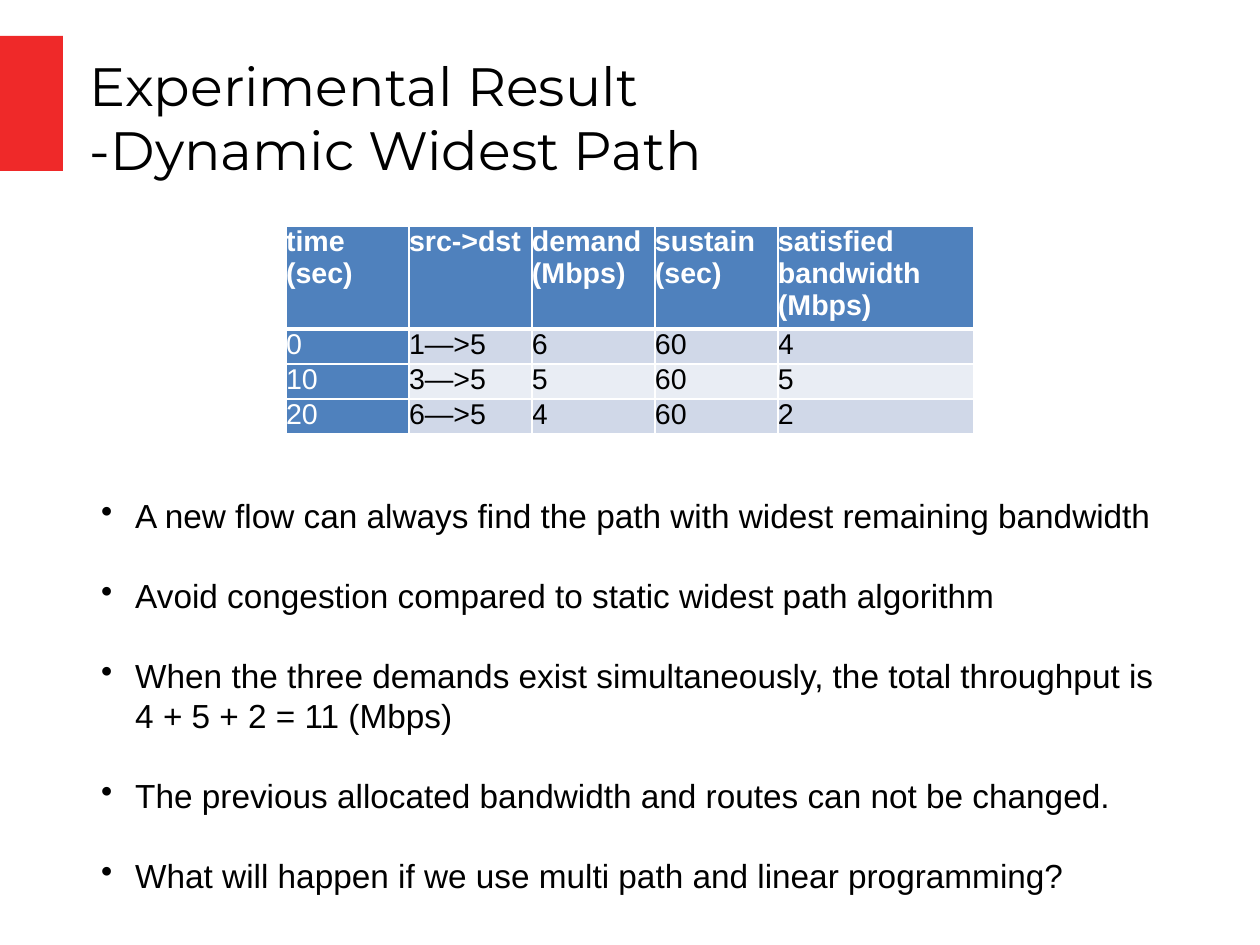
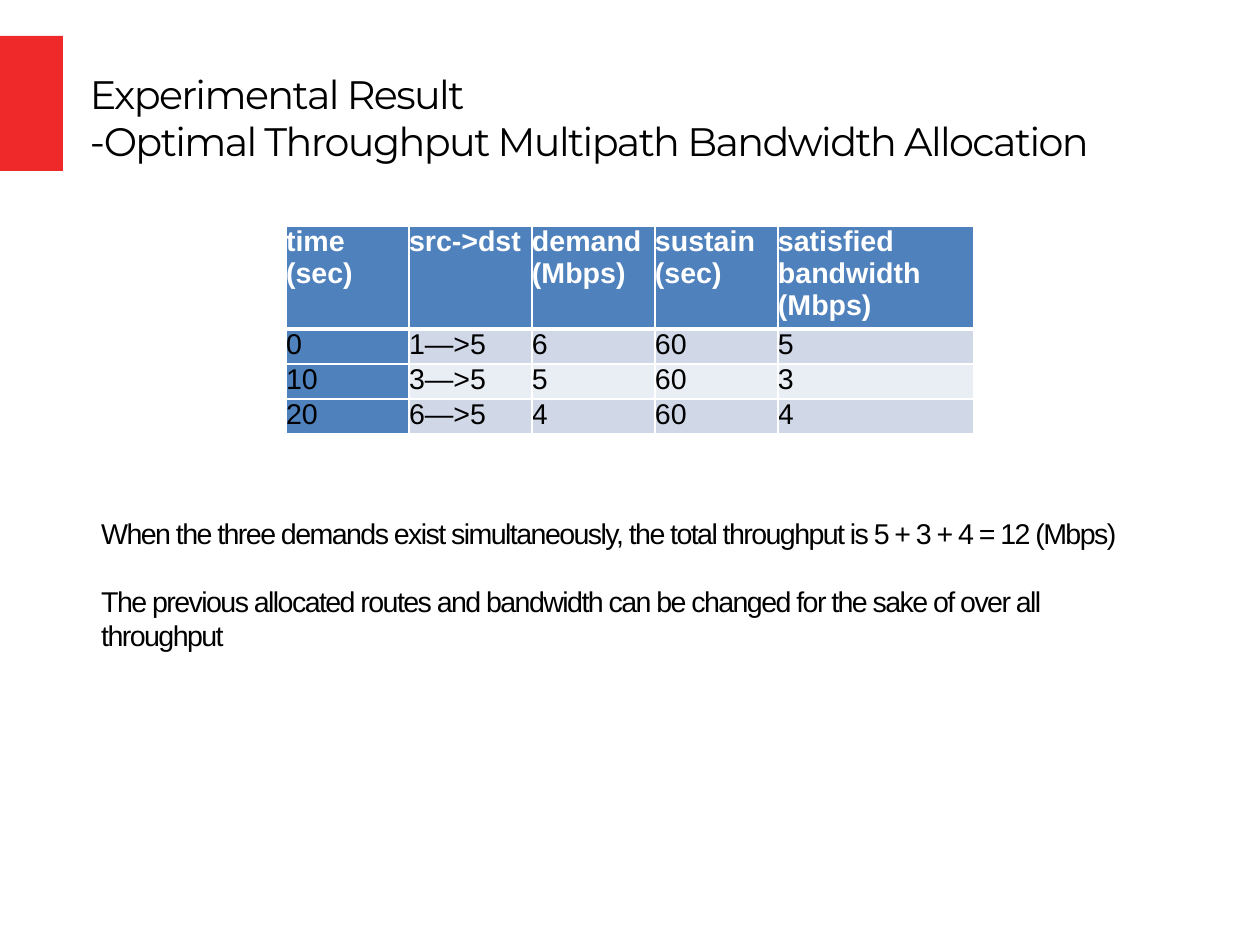
from lxml import etree
from pptx import Presentation
from pptx import util as u
from pptx.dml.color import RGBColor
from pptx.enum import shapes, text
from pptx.oxml import ns

PX = 8000
RED = RGBColor(0xEF, 0x29, 0x29)
BLACK = RGBColor(0x00, 0x00, 0x00)
WHITE = RGBColor(0xFF, 0xFF, 0xFF)
BLUE = RGBColor(0x4F, 0x81, 0xBD)
BANDS = (RGBColor(0xD0, 0xD8, 0xE8), RGBColor(0xE9, 0xED, 0xF4))
TITLE_FONT = "Montserrat"
BODY_FONT = "Arial"
INDENT = 34
COLUMNS = (123, 123, 123, 123, 196)
HEADER_HEIGHT, ROW_HEIGHT = 103, 35
HEADER = ("time\n(sec)", "src->dst", "demand\n(Mbps)", "sustain\n(sec)",
          "satisfied bandwidth\n(Mbps)")
FLOWS = (("0", "1—>5", "6", "60"),
         ("10", "3—>5", "5", "60"),
         ("20", "6—>5", "4", "60"))


def px(*lengths):
    return [u.Emu(n * PX) for n in lengths]


def style(p, font, size, color=BLACK, bold=False):
    p.font.name, p.font.size, p.font.bold = font, u.Pt(size), bold
    p.font.color.rgb = color


def tighten(p, points):
    for r in p.runs:
        r.font._element.set("spc", str(round(points * 100)))


def add_bullet(p):
    pPr = p._p.get_or_add_pPr()
    pPr.set("marL", str(INDENT * PX))
    pPr.set("indent", str(-INDENT * PX))
    bullet = etree.Element(ns.qn("a:buChar"), char="•")
    pPr.insert_element_before(bullet, "a:tabLst", "a:defRPr", "a:extLst")


def add_text(slide, box, lines, font, size, spacing=0):
    tf = slide.shapes.add_textbox(*px(*box)).text_frame
    tf.word_wrap = True
    tf.text = "\n".join(lines)
    for p in tf.paragraphs:
        style(p, font, size)
        tighten(p, spacing)
    return tf


def add_title(slide, lines, size, spacing):
    sp = slide.shapes.add_shape(shapes.MSO_SHAPE.RECTANGLE, *px(0, 36, 63, 135))
    sp.shadow.inherit = False
    sp.fill.solid()
    sp.fill.fore_color.rgb = RED
    sp.line.fill.background()
    tf = add_text(slide, (90, 38, 1108, 158), lines, TITLE_FONT, size, spacing)
    tf.margin_left = tf.margin_top = tf.margin_right = tf.margin_bottom = 0
    tf.vertical_anchor = text.MSO_ANCHOR.MIDDLE


def add_body(slide, top, height, lines, size, pitch, bullets=False, spacing=0):
    tf = add_text(slide, (90, top, 1081, height), lines, BODY_FONT, size, spacing)
    for p in tf.paragraphs:
        p.line_spacing, p.space_after = px(pitch, pitch)
        if bullets:
            add_bullet(p)


def set_borders(cell, widths):
    tcPr = cell._tc.get_or_add_tcPr()
    for i, (side, width) in enumerate(zip("LRTB", widths)):
        ln = etree.Element(ns.qn(f"a:ln{side}"), w=str(u.Pt(width)))
        fill = etree.SubElement(ln, ns.qn("a:solidFill"))
        etree.SubElement(fill, ns.qn("a:srgbClr"), val=str(WHITE))
        tcPr.insert(i, ln)


def add_flow_table(slide, bandwidths, time_color):
    rows = [HEADER] + [flow + (b,) for flow, b in zip(FLOWS, bandwidths)]
    heights = [HEADER_HEIGHT] + [ROW_HEIGHT] * len(FLOWS)
    table = slide.shapes.add_table(
        len(rows), len(COLUMNS), *px(286, 226, sum(COLUMNS), sum(heights))).table
    table.first_row = table.horz_banding = False
    for column, width in zip(table.columns, px(*COLUMNS)):
        column.width = width
    for i, (row, height, values) in enumerate(zip(table.rows, px(*heights), rows)):
        row.height = height
        for j, (cell, value) in enumerate(zip(row.cells, values)):
            header = i == 0
            cell.margin_left = cell.margin_right = 0
            cell.margin_top = cell.margin_bottom = 0
            cell.text = value
            color = WHITE if header else time_color if j == 0 else BLACK
            for p in cell.text_frame.paragraphs:
                style(p, BODY_FONT, 18, color, header)
            cell.fill.solid()
            cell.fill.fore_color.rgb = BLUE if header or j == 0 else BANDS[(i - 1) % 2]
            set_borders(cell, (1, 1, 3 if i == 1 else 1, 3 if header else 1))


def add_result_slide(prs, subtitle, title_size, bandwidths, time_color, spacing=0):
    slide = prs.slides.add_slide(prs.slide_layouts[6])
    add_title(slide, ("Experimental Result", subtitle), title_size, spacing)
    add_flow_table(slide, bandwidths, time_color)
    return slide


def main():
    prs = Presentation()
    prs.slide_width, prs.slide_height = px(1260, 945)

    slide = add_result_slide(prs, "-Dynamic Widest Path", 34, "452", WHITE)
    add_body(slide, 490, 412, (
        "A new flow can always find the path with widest remaining bandwidth",
        "Avoid congestion compared to static widest path algorithm",
        "When the three demands exist simultaneously, the total throughput is "
        "4 + 5 + 2 = 11 (Mbps)",
        "The previous allocated bandwidth and routes can not be changed.",
        "What will happen if we use multi path and linear programming?",
    ), 21, 40, bullets=True)

    slide = add_result_slide(
        prs, "-Optimal Throughput Multipath Bandwidth Allocation", 25, "534", BLACK, -1)
    add_body(slide, 511, 150, (
        "When the three demands exist simultaneously, the total throughput is "
        "5 + 3 + 4 = 12 (Mbps)",
        "The previous allocated routes and bandwidth can be changed for the sake "
        "of over all throughput",
    ), 18, 34, spacing=-1)

    prs.save("out.pptx")


if __name__ == "__main__":
    main()
